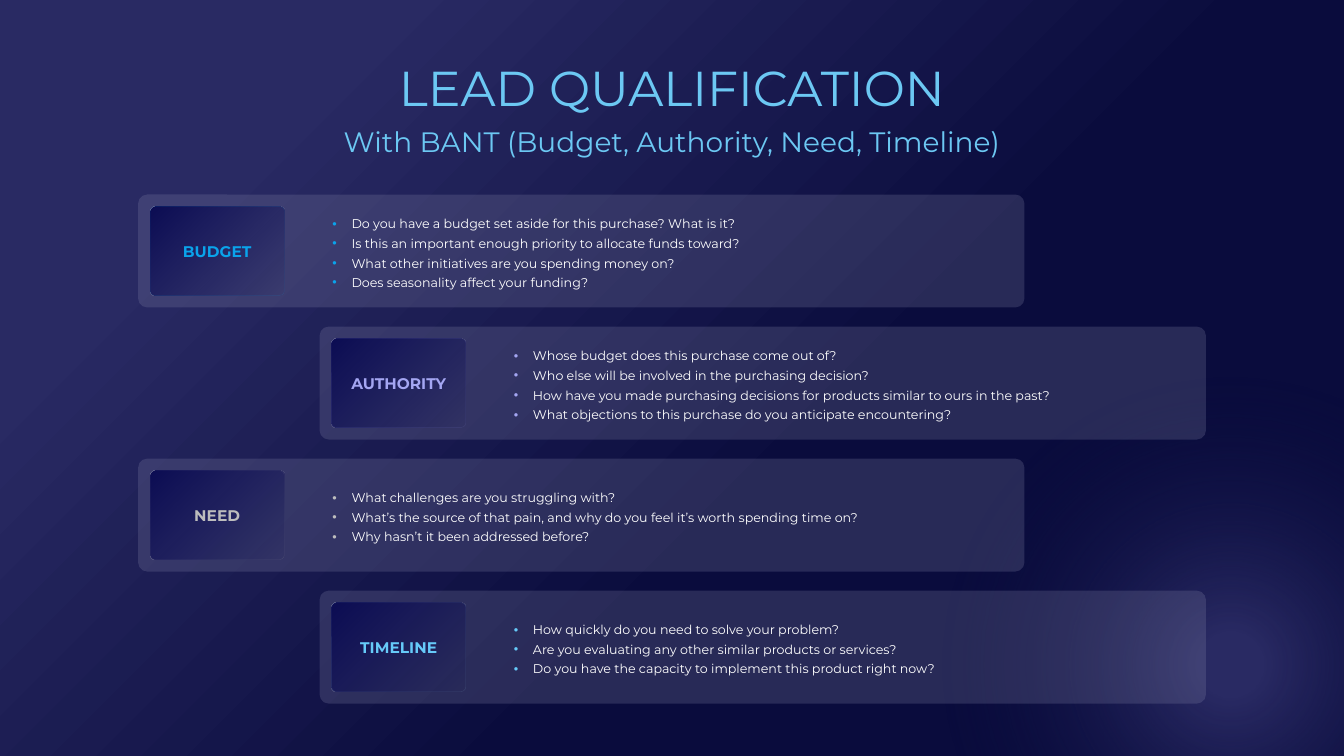
from lxml import etree
from pptx import Presentation
from pptx.dml.color import RGBColor
from pptx.enum.shapes import MSO_SHAPE as Kind
from pptx.enum.text import MSO_ANCHOR as Anchor, MSO_AUTO_SIZE as Fit, PP_ALIGN as Align
from pptx.oxml import parse_xml
from pptx.oxml.ns import nsdecls, qn
from pptx.util import Inches, Pt

FONT = "Montserrat"
WHITE = RGBColor(0xFF, 0xFF, 0xFF)
VIOLET = RGBColor(0x29, 0x2A, 0x63)
NAVY = RGBColor(0x0A, 0x0C, 0x3D)
INDIGO = RGBColor(0x0C, 0x0D, 0x54)
HAZE = RGBColor(0x84, 0x85, 0xA8)
PALE = RGBColor(0x6C, 0xC8, 0xF3)
BLUE = RGBColor(0x0A, 0xA3, 0xEB)
LILAC = RGBColor(0xA4, 0xA6, 0xF2)
MAUVE = RGBColor(0x92, 0x94, 0xEF)
GREY = RGBColor(0xBD, 0xBD, 0xBD)
SKY = RGBColor(0x66, 0xCA, 0xF9)
ICE = RGBColor(0xA7, 0xDE, 0xF8)

LINEAR = '<a:lin ang="2700000" scaled="0"/>'
CORNER = '<a:path path="circle"><a:fillToRect r="100000" b="100000"/></a:path>'
CENTRE = '<a:path path="circle"><a:fillToRect l="50000" t="50000" r="50000" b="50000"/></a:path>'


def blend(props, stops, shade):
    """Swap the solid fill in props for a gradient of (percent, colour, opacity) stops."""
    marks = "".join(
        f'<a:gs pos="{pos * 1000}"><a:srgbClr val="{color}">'
        f'<a:alpha val="{alpha * 1000}"/></a:srgbClr></a:gs>'
        for pos, color, alpha in stops)
    grad = parse_xml(f'<a:gradFill {nsdecls("a")} rotWithShape="1">'
                     f'<a:gsLst>{marks}</a:gsLst>{shade}</a:gradFill>')
    props.replace(props.find(qn("a:solidFill")), grad)


def block(kind, box, color, insets=(0, 0, 0, 0)):
    """Add a flat, borderless shape with middle-anchored text."""
    shape = slide.shapes.add_shape(kind, *map(Inches, box))
    shape.shadow.inherit = False
    shape.fill.solid()
    shape.fill.fore_color.rgb = color
    shape.line.fill.background()
    frame = shape.text_frame
    frame.word_wrap = True
    frame.vertical_anchor = Anchor.MIDDLE
    for side, gap in zip(("left", "top", "right", "bottom"), insets):
        setattr(frame, f"margin_{side}", Inches(gap))
    return shape


deck = Presentation()
deck.slide_width, deck.slide_height = Inches(13.33), Inches(7.5)
slide = deck.slides.add_slide(deck.slide_layouts[6])

# Backdrop
slide.background.fill.solid()
blend(slide.element.cSld.find(qn("p:bg")).find(qn("p:bgPr")),
      [(19, VIOLET, 100), (60, NAVY, 100)], CORNER)
glow = block(Kind.OVAL, (9.35, 3.75, 5.7, 5.68), VIOLET)
blend(glow.element.spPr, [(8, VIOLET, 100), (71, NAVY, 0)], CENTRE)

# Heading
head = slide.shapes.add_textbox(*map(Inches, (3.27, 0.52, 6.79, 1.11))).text_frame
head.word_wrap = False
head.auto_size = Fit.SHAPE_TO_FIT_TEXT
lines = [("LEAD QUALIFICATION", 35), ("With BANT (Budget, Authority, Need, Timeline)", 20)]
for n, (text, size) in enumerate(lines):
    para = head.add_paragraph() if n else head.paragraphs[0]
    para.alignment = Align.CENTER
    para.space_after = Pt(6)
    run = para.add_run()
    run.text = text
    run.font.size = Pt(size)
    run.font.name = FONT
    run.font.fill.solid()
    blend(run.font._element, [(0, PALE, 100), (64, BLUE, 100)], CORNER)

# Cards, stepping down the slide and alternating left and right
cards = [
    ("BUDGET", BLUE, BLUE, [
        "Do you have a budget set aside for this purchase? What is it?",
        "Is this an important enough priority to allocate funds toward?",
        "What other initiatives are you spending money on?",
        "Does seasonality affect your funding?"]),
    ("AUTHORITY", LILAC, MAUVE, [
        "Whose budget does this purchase come out of?",
        "Who else will be involved in the purchasing decision?",
        "How have you made purchasing decisions for products similar to ours in the past?",
        "What objections to this purchase do you anticipate encountering?"]),
    ("NEED", GREY, GREY, [
        "What challenges are you struggling with?",
        "What’s the source of that pain, and why do you feel it’s worth spending time on?",
        "Why hasn’t it been addressed before?"]),
    ("TIMELINE", SKY, ICE, [
        "How quickly do you need to solve your problem?",
        "Are you evaluating any other similar products or services?",
        "Do you have the capacity to implement this product right now?"]),
]
for row, (name, color, edge, asks) in enumerate(cards):
    left = 1.37 + 1.8 * (row % 2)
    top = 1.93 + 1.31 * row

    card = block(Kind.ROUNDED_RECTANGLE, (left, top, 8.79, 1.12), HAZE, (1.9, 0.08, 0, 0.08))
    card.adjustments[0] = 0.08
    tint = card.element.spPr.find(qn("a:solidFill"))[0]
    etree.SubElement(tint, qn("a:alpha"), val="25000")
    for n, ask in enumerate(asks):
        frame = card.text_frame
        para = frame.add_paragraph() if n else frame.paragraphs[0]
        para.text = ask
        para.alignment = Align.LEFT
        para.line_spacing = Pt(14)
        props = para._p.get_or_add_pPr()
        props.set("marL", str(Inches(0.19)))
        props.set("indent", str(Inches(-0.23)))
        dye = etree.SubElement(props, qn("a:buClr"))
        etree.SubElement(dye, qn("a:srgbClr"), val=str(color))
        etree.SubElement(props, qn("a:buFont"), typeface="Arial")
        etree.SubElement(props, qn("a:buChar"), char="•")
        for key, value in {"size": Pt(9), "name": FONT}.items():
            setattr(para.font, key, value)
        para.font.color.rgb = WHITE

    tag = block(Kind.ROUNDED_RECTANGLE, (left + 0.12, top + 0.12, 1.33, 0.88), INDIGO, [0.08] * 4)
    tag.adjustments[0] = 0.05
    blend(tag.element.spPr, [(0, INDIGO, 100), (100, INDIGO, 0)], LINEAR)
    tag.line.color.rgb = edge
    tag.line.width = Pt(0.25)
    rim = tag.line._ln.find(qn("a:solidFill"))[0]
    etree.SubElement(rim, qn("a:alpha"), val="15000")
    para = tag.text_frame.paragraphs[0]
    para.text = name
    para.alignment = Align.CENTER
    for key, value in {"size": Pt(11), "name": FONT, "bold": True}.items():
        setattr(para.font, key, value)
    para.font.color.rgb = color

deck.save("out.pptx")
